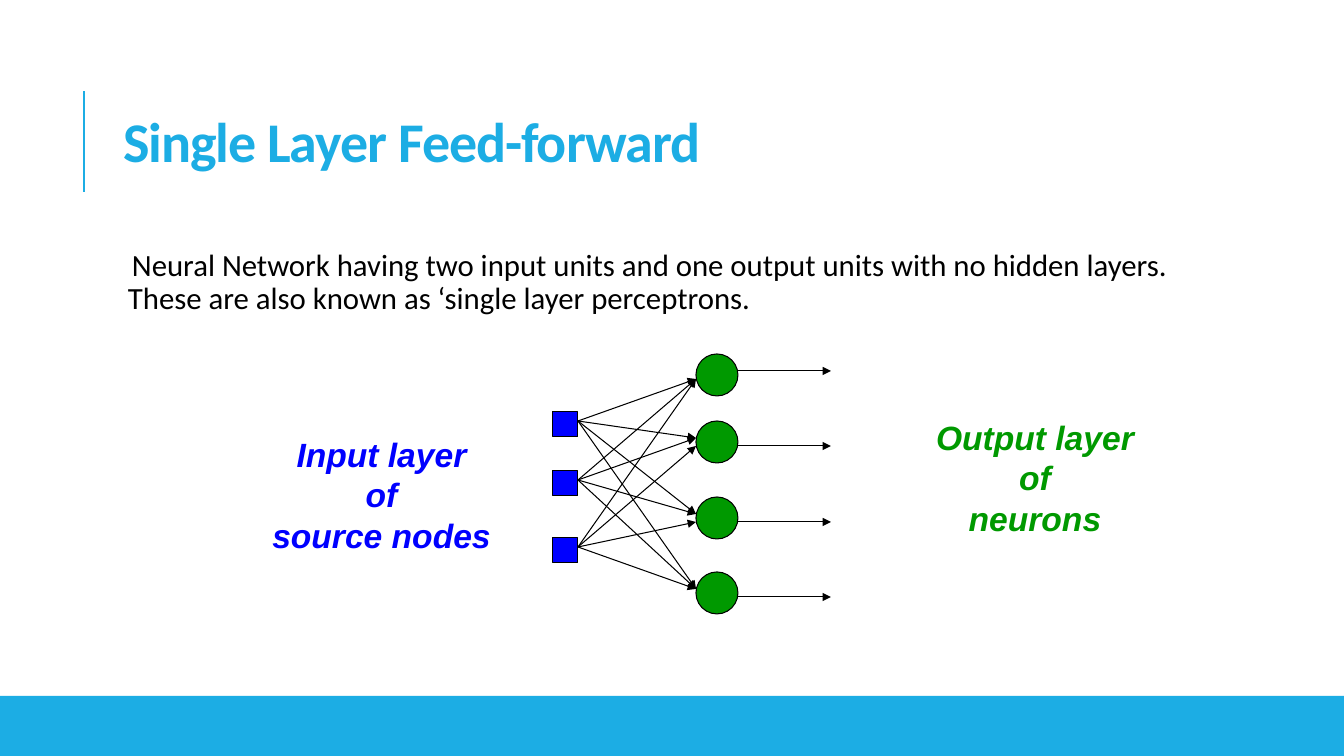
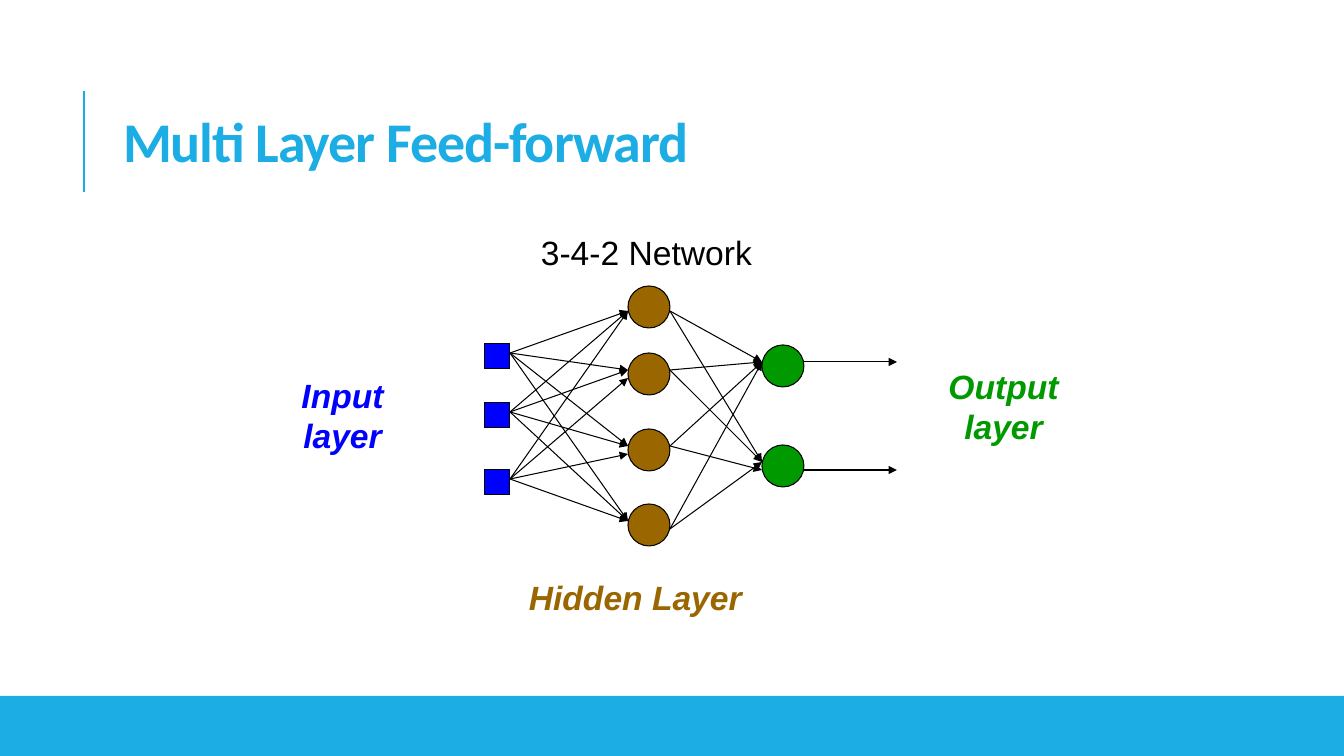
from lxml.etree import SubElement
from pptx import Presentation
from pptx.dml.color import RGBColor
from pptx.enum.shapes import MSO_CONNECTOR, MSO_SHAPE
from pptx.enum.text import MSO_ANCHOR, MSO_AUTO_SIZE, PP_ALIGN
from pptx.oxml.ns import qn
from pptx.util import Emu, Pt

PX = 914400 / 100.8
WIDTH, HEIGHT = 1344, 756
COLORS = {"accent": "1CADE4", "black": "000000", "input": "0000FF",
          "hidden": "996600", "output": "009900"}
TITLE_ONLY, TITLE_AND_CONTENT = 5, 1
NODE_SHAPES = {"input": (MSO_SHAPE.RECTANGLE, 25), "hidden": (MSO_SHAPE.OVAL, 42),
               "output": (MSO_SHAPE.OVAL, 42)}
ARROW_LENGTH = 93

# Layers: role, left, node tops, height on each node where its lines leave.
# Entries: for each pair of layers, one row per target node holding the height
# at which the line from each source node arrives.
INPUT_TOPS, FOUR_TOPS = [412, 471, 538], [354, 421, 497, 572]
THREE_TO_FOUR = [[25, 25, 25], [17, 17, 25], [17, 17, 25], [17, 17, 17]]
FOUR_TO_TWO = [[17, 17, 17, 17], [17, 17, 25, 17]]
MULTI_SHIFT = -68


def shifted(tops):
    return [top + MULTI_SHIFT for top in tops]


SLIDES = [
    {"title": "Single Layer Feed-forward",
     "body": "Neural Network having two input units and one output units with no "
             "hidden layers. These are also known as ‘single layer perceptrons.",
     "labels": [  # lines, colour, emphasised, left, top, width, height
         (["Input layer", "of", "source nodes"], "input", True, 261, 429, 241, 132),
         (["Output layer", "of", "neurons"], "output", True, 925, 412, 220, 132)],
     "layers": [("input", 553, INPUT_TOPS, [9, 9, 9]),
                ("output", 696, FOUR_TOPS, [17, 25, 25, 25])],
     "entries": [THREE_TO_FOUR]},
    {"title": "Multi Layer Feed-forward",
     "body": None,
     "labels": [
         (["Input", "layer"], "input", True, 291, 370, 103, 92),
         (["Output", "layer"], "output", True, 938, 361, 131, 92),
         (["Hidden Layer"], "hidden", True, 519, 572, 233, 50),
         (["3-4-2 Network"], "black", False, 531, 227, 232, 50)],
     "layers": [("input", 485, shifted(INPUT_TOPS), [9, 9, 9]),
                ("hidden", 628, shifted(FOUR_TOPS), [25, 17, 17, 25]),
                ("output", 762, [345, 445], [17, 25])],
     "entries": [THREE_TO_FOUR, FOUR_TO_TWO]},
]


def px(*values):
    return [Emu(round(value * PX)) for value in values]


def rgb(name):
    return RGBColor.from_string(COLORS[name])


def set_font(para, name, size, color, bold=False, italic=False):
    for span in para.runs:
        font = span.font
        font.name, font.size, font.bold, font.italic = name, Pt(size), bold, italic
        font.color.rgb = rgb(color)


def place(shape, left, top, width, height):
    shape.left, shape.top, shape.width, shape.height = px(left, top, width, height)


def add_block(shapes, kind, left, top, width, height, fill, outlined):
    block = shapes.add_shape(kind, *px(left, top, width, height))
    block.shadow.inherit = False
    block.fill.solid()
    block.fill.fore_color.rgb = rgb(fill)
    if outlined:
        block.line.color.rgb = rgb("black")
        block.line.width = Pt(0.75)
    else:
        block.line.fill.background()


def add_line(shapes, start, end, color="black", width=0.75, arrow=True):
    line = shapes.add_connector(MSO_CONNECTOR.STRAIGHT, *px(*start, *end))
    line.line.color.rgb = rgb(color)
    line.line.width = Pt(width)
    if arrow:
        SubElement(line.line._get_or_add_ln(), qn("a:tailEnd"), type="triangle")
    SubElement(line._element.spPr, qn("a:effectLst"))


def add_frame(page, title):
    # Side rule, bottom band and title shared by every slide
    add_line(page.shapes, (84, 192), (84, 91), "accent", 1.5, arrow=False)
    add_block(page.shapes, MSO_SHAPE.RECTANGLE, 0, 696, WIDTH, HEIGHT - 696, "accent", False)
    box = page.shapes.title
    place(box, 113, 64, 1072, 165)
    frame = box.text_frame
    frame.text = title
    frame.auto_size = MSO_AUTO_SIZE.NONE
    frame.vertical_anchor = MSO_ANCHOR.MIDDLE
    para = frame.paragraphs[0]
    para.alignment = PP_ALIGN.LEFT
    para.line_spacing = 0.8
    set_font(para, "Calibri", 40, "accent", bold=True)
    para.runs[0].font._element.set("spc", "-70")


def add_body(page, text):
    box = page.placeholders[1]
    place(box, 113, 245, 1072, 436)
    frame = box.text_frame
    frame.text = text
    frame.auto_size = MSO_AUTO_SIZE.NONE
    frame.margin_left, frame.margin_top, frame.margin_right, frame.margin_bottom = px(5, 5, 5, 5)
    para = frame.paragraphs[0]
    properties = para._p.get_or_add_pPr()
    margin, indent = px(10, 4)
    properties.set("marL", str(margin))
    properties.set("indent", str(indent))
    SubElement(properties, qn("a:buNone"))
    para.line_spacing = 0.9
    para.space_before, para.space_after = Pt(0), Pt(2)
    set_font(para, "Calibri", 22, "black")


def add_label(page, lines, color, emphasised, *area):
    box = page.shapes.add_textbox(*px(*area))
    frame = box.text_frame
    frame.word_wrap = False
    frame.text = "\n".join(lines)
    for para in frame.paragraphs:
        para.alignment = PP_ALIGN.CENTER if len(lines) > 1 else PP_ALIGN.LEFT
        set_font(para, "Arial", 24, color, emphasised, emphasised)


def add_network(page, layers, entries):
    shapes = page.shapes.add_group_shape().shapes
    # Nodes
    for role, left, tops, _ in layers:
        kind, size = NODE_SHAPES[role]
        for top in tops:
            add_block(shapes, kind, left, top, size, size, role, True)
    # Links between neighbouring layers
    for source, target, rows in zip(layers, layers[1:], entries):
        for target_top, row in zip(target[2], rows):
            for start, entry in zip(exit_points(source), row):
                add_line(shapes, start, (target[1], target_top + entry))
    # Arrows leaving the last layer
    for x, y in exit_points(layers[-1]):
        add_line(shapes, (x, y), (x + ARROW_LENGTH, y))


def exit_points(layer):
    role, left, tops, exits = layer
    right = left + NODE_SHAPES[role][1]
    return [(right, top + drop) for top, drop in zip(tops, exits)]


def main():
    deck = Presentation()
    deck.slide_width, deck.slide_height = px(WIDTH, HEIGHT)
    for content in SLIDES:
        layout = TITLE_AND_CONTENT if content["body"] else TITLE_ONLY
        page = deck.slides.add_slide(deck.slide_layouts[layout])
        add_frame(page, content["title"])
        if content["body"]:
            add_body(page, content["body"])
        for label in content["labels"]:
            add_label(page, *label)
        add_network(page, content["layers"], content["entries"])
    deck.save("out.pptx")


if __name__ == "__main__":
    main()
